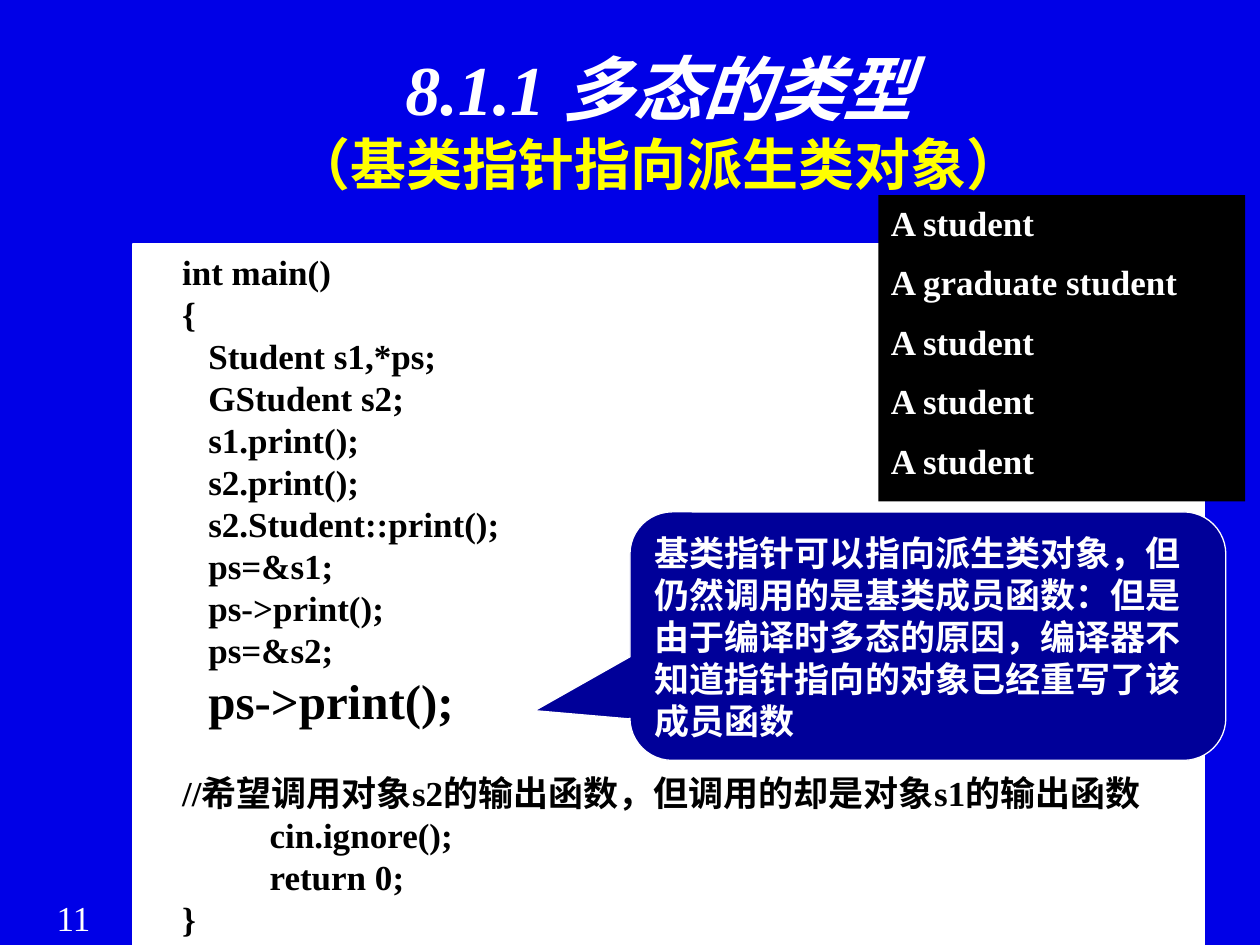
import pptx
import pptx.dml.color
import pptx.enum.shapes
import pptx.enum.text
import pptx.util

Pt = pptx.util.Pt
SHAPE = pptx.enum.shapes.MSO_SHAPE
ALIGN = pptx.enum.text.PP_ALIGN
ANCHOR = pptx.enum.text.MSO_ANCHOR

COLORS = {
    "background": "0000E7",
    "white": "FFFFFF",
    "black": "000000",
    "yellow": "FFFF00",
    "navy": "000099",
}


def color(name):
    return pptx.dml.color.RGBColor.from_string(COLORS[name])


class SlideBuilder:
    """Holds the text style and the current slide."""

    font_name = "Times New Roman"

    def __init__(self, slide):
        self.slide = slide

    def background(self, name):
        fill = self.slide.background.fill
        fill.solid()
        fill.fore_color.rgb = color(name)

    def text_box(self, left, top, width, height, anchor=ANCHOR.TOP):
        box = self.slide.shapes.add_textbox(Pt(left), Pt(top), Pt(width), Pt(height))
        self.set_frame(box, anchor)
        return box

    def panel(self, kind, left, top, width, height, fill, line=None, anchor=ANCHOR.TOP):
        box = self.slide.shapes.add_shape(kind, Pt(left), Pt(top), Pt(width), Pt(height))
        box.shadow.inherit = False
        box.fill.solid()
        box.fill.fore_color.rgb = color(fill)
        if line:
            box.line.color.rgb = color(line)
            box.line.width = Pt(0.75)
        else:
            box.line.fill.background()
        self.set_frame(box, anchor)
        return box

    def set_frame(self, box, anchor):
        box.text_frame.word_wrap = True
        box.text_frame.vertical_anchor = anchor

    def paragraph(self, box, text, ink, size=20, bold=True, italic=False, **layout):
        frame = box.text_frame
        para = frame.paragraphs[0]
        if para.runs:
            para = frame.add_paragraph()
        for name, value in {"alignment": ALIGN.LEFT, **layout}.items():
            setattr(para, name, value)
        span = para.add_run()
        span.text = text
        style = {"name": self.font_name, "size": Pt(size), "bold": bold, "italic": italic}
        for name, value in style.items():
            setattr(span.font, name, value)
        span.font.color.rgb = color(ink)
        return para


def main():
    deck = pptx.Presentation()
    deck.slide_width, deck.slide_height = Pt(720), Pt(540)
    page = SlideBuilder(deck.slides.add_slide(deck.slide_layouts[6]))
    page.background("background")

    # Slide number
    number = page.text_box(12, 509, 60, 31)
    page.paragraph(number, "11", "white", bold=False, alignment=ALIGN.CENTER)

    # Code listing
    code = page.panel(SHAPE.RECTANGLE, 76, 139.5, 612, 402, "white", "white")
    code_lines = [
        "int main()",
        "{",
        "\tStudent s1,*ps;",
        "\tGStudent s2;",
        "\ts1.print();",
        "\ts2.print();",
        "\ts2.Student::print();",
        "\tps=&s1;",
        "\tps->print();",
        "\tps=&s2;",
        "\tps->print();",
        "//希望调用对象s2的输出函数，但调用的却是对象s1的输出函数",
        "          cin.ignore();",
        "          return 0;",
        "}",
    ]
    key_call = 10
    for index, line in enumerate(code_lines):
        para = page.paragraph(
            code, line, "black",
            size=28 if index == key_call else 20,
            alignment=ALIGN.JUSTIFY,
            space_before=Pt(24 if index == key_call + 1 else 0),
        )
        for name, value in {"marL": 0, "indent": Pt(21)}.items():
            para._p.get_or_add_pPr().set(name, str(int(value)))

    # Program output
    output = page.panel(SHAPE.RECTANGLE, 502, 111.5, 209.5, 175, "black")
    kinds = ["student", "graduate student", "student", "student", "student"]
    for index, kind in enumerate(kinds):
        page.paragraph(output, f"A {kind}", "white", space_before=Pt(10 if index else 0))

    # Title and subtitle
    title = page.text_box(70.5, 26, 612, 90, ANCHOR.BOTTOM)
    page.paragraph(title, "8.1.1 多态的类型", "white", size=40, italic=True,
                   alignment=ALIGN.CENTER)
    page.paragraph(title, "（基类指针指向派生类对象）", "yellow", size=32,
                   alignment=ALIGN.CENTER)

    # Callout pointing at the key call
    callout = page.panel(SHAPE.ROUNDED_RECTANGULAR_CALLOUT, 360, 292.5, 340.5, 142,
                         "navy", "white", ANCHOR.MIDDLE)
    for index, value in enumerate([-0.66, 0.3, 0.17]):
        callout.adjustments[index] = value
    page.paragraph(
        callout,
        "基类指针可以指向派生类对象，但仍然调用的是基类成员函数：但是由于编译时多态的原因，"
        "编译器不知道指针指向的对象已经重写了该成员函数",
        "white",
    )

    deck.save("out.pptx")


if __name__ == "__main__":
    main()
